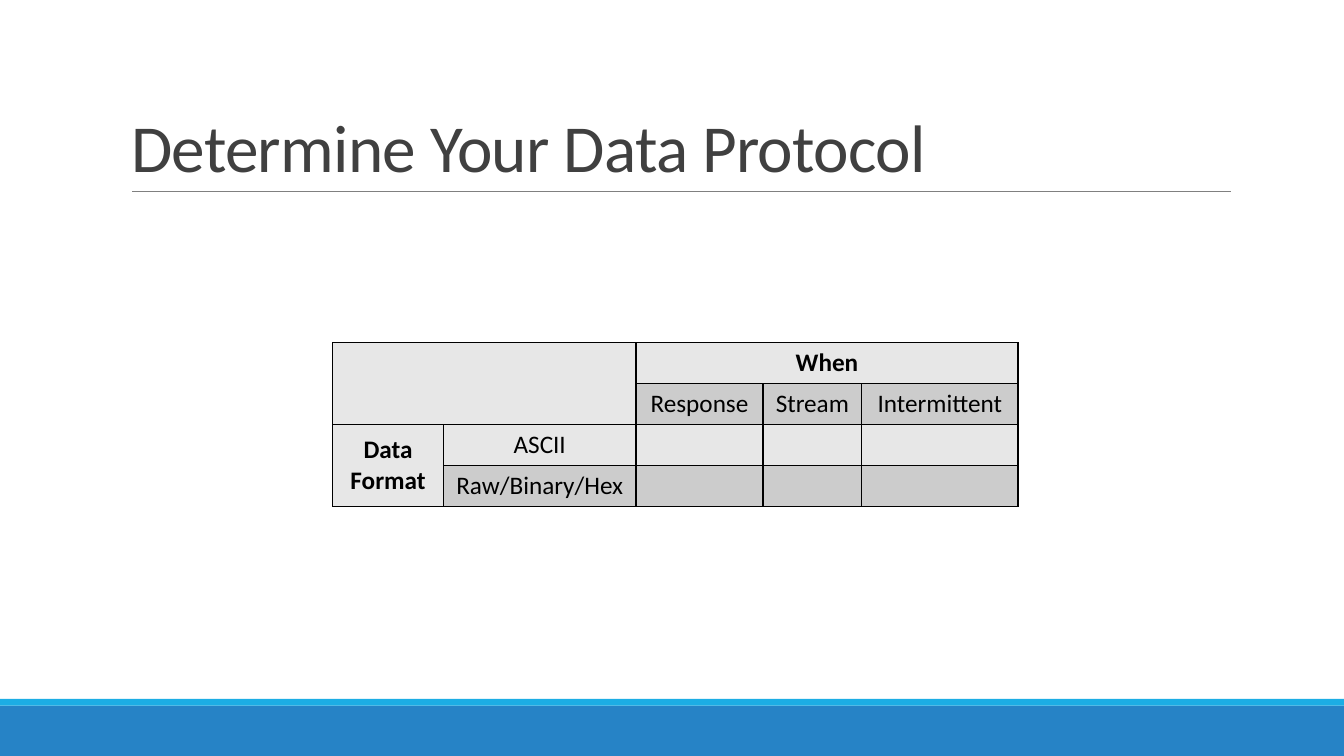
from pptx import Presentation
from pptx.dml.color import RGBColor
from pptx.enum.shapes import MSO_CONNECTOR as Connector, MSO_SHAPE as Shape
from pptx.enum.text import MSO_ANCHOR as Anchor, PP_ALIGN as Align
from pptx.oxml import parse_xml
from pptx.oxml.ns import nsdecls
from pptx.util import Inches, Pt

GRID_COLUMNS, GRID_ROWS = 160, 90


def color(value):
    return RGBColor.from_string(value)


class SlideBuilder:
    font_name = "Calibri"
    title_color = "404040"
    text_color = "000000"
    border_color = "000000"
    band_colors = ("E7E7E7", "CCCCCC")

    def __init__(self, presentation):
        self.slide = presentation.slides.add_slide(presentation.slide_layouts[5])
        self.column = presentation.slide_width / GRID_COLUMNS
        self.row = presentation.slide_height / GRID_ROWS

    def across(self, columns):
        return round(columns * self.column)

    def down(self, rows):
        return round(rows * self.row)

    def box(self, left, top, width, height):
        return self.across(left), self.down(top), self.across(width), self.down(height)

    def style(self, paragraph, size, value, bold=False):
        font = paragraph.font
        font.name, font.size, font.bold = self.font_name, Pt(size), bold
        font.color.rgb = color(value)

    def bar(self, top, height, fill):
        shape = self.slide.shapes.add_shape(
            Shape.RECTANGLE, *self.box(0, top, GRID_COLUMNS, height))
        shape.shadow.inherit = False
        shape.fill.solid()
        shape.fill.fore_color.rgb = color(fill)
        shape.line.fill.background()

    def rule(self, left, right, top, value, width):
        line = self.slide.shapes.add_connector(
            Connector.STRAIGHT, self.across(left), self.down(top),
            self.across(right), self.down(top))
        line.line.color.rgb = color(value)
        line.line.width = Pt(width)
        line._element.spPr.append(parse_xml(f"<a:effectLst {nsdecls('a')}/>"))

    def title(self, text, *place):
        title = self.slide.shapes.title
        title.left, title.top, title.width, title.height = self.box(*place)
        frame = title.text_frame
        frame.text = text
        frame.word_wrap = True
        frame.vertical_anchor = Anchor.BOTTOM
        paragraph = frame.paragraphs[0]
        paragraph.alignment = Align.LEFT
        paragraph.line_spacing = 0.85
        self.style(paragraph, 48, self.title_color)
        paragraph.font._element.set("spc", "-50")

    def borders(self, cell):
        properties = cell._tc.get_or_add_tcPr()
        for index, side in enumerate("LRTB"):
            properties.insert(index, parse_xml(
                f'<a:ln{side} {nsdecls("a")} w="{Pt(1)}"><a:solidFill>'
                f'<a:srgbClr val="{self.border_color}"/></a:solidFill></a:ln{side}>'))

    def table(self, left, top, widths, row_height, texts, merges, bold_texts):
        table = self.slide.shapes.add_table(
            len(texts), len(widths),
            *self.box(left, top, sum(widths), row_height * len(texts))).table
        table.first_row = table.horz_banding = False
        for column, width in zip(table.columns, widths):
            column.width = self.across(width)
        for row_index, row_texts in enumerate(texts):
            table.rows[row_index].height = self.down(row_height)
            for column_index, text in enumerate(row_texts):
                cell = table.cell(row_index, column_index)
                cell.text = text
                cell.vertical_anchor = Anchor.MIDDLE
                cell.fill.solid()
                cell.fill.fore_color.rgb = color(self.band_colors[row_index % 2])
                self.borders(cell)
                paragraph = cell.text_frame.paragraphs[0]
                paragraph.alignment = Align.CENTER
                self.style(paragraph, 18, self.text_color, text in bold_texts)
        for first, last in merges:
            table.cell(*first).merge(table.cell(*last))


def main():
    presentation = Presentation()
    presentation.slide_width, presentation.slide_height = Inches(13.33), Inches(7.5)
    builder = SlideBuilder(presentation)
    builder.bar(84, 6, "2683C6")
    builder.bar(83.2, 0.8, "1CADE4")
    builder.rule(15.72, 146.52, 22.8, "808080", 0.5)
    builder.title("Determine Your Data Protocol", 14.4, 3.72, 132, 19.08)
    builder.table(
        39.6, 40.8, [13.2, 22.92, 15.12, 11.76, 18.6], 4.88,
        [["", "", "When", "", ""],
         ["", "", "Response", "Stream", "Intermittent"],
         ["Data Format", "ASCII", "", "", ""],
         ["", "Raw/Binary/Hex", "", "", ""]],
        [((0, 0), (1, 1)), ((0, 2), (0, 4)), ((2, 0), (3, 0))],
        {"When", "Data Format"})
    presentation.save("out.pptx")


if __name__ == "__main__":
    main()
